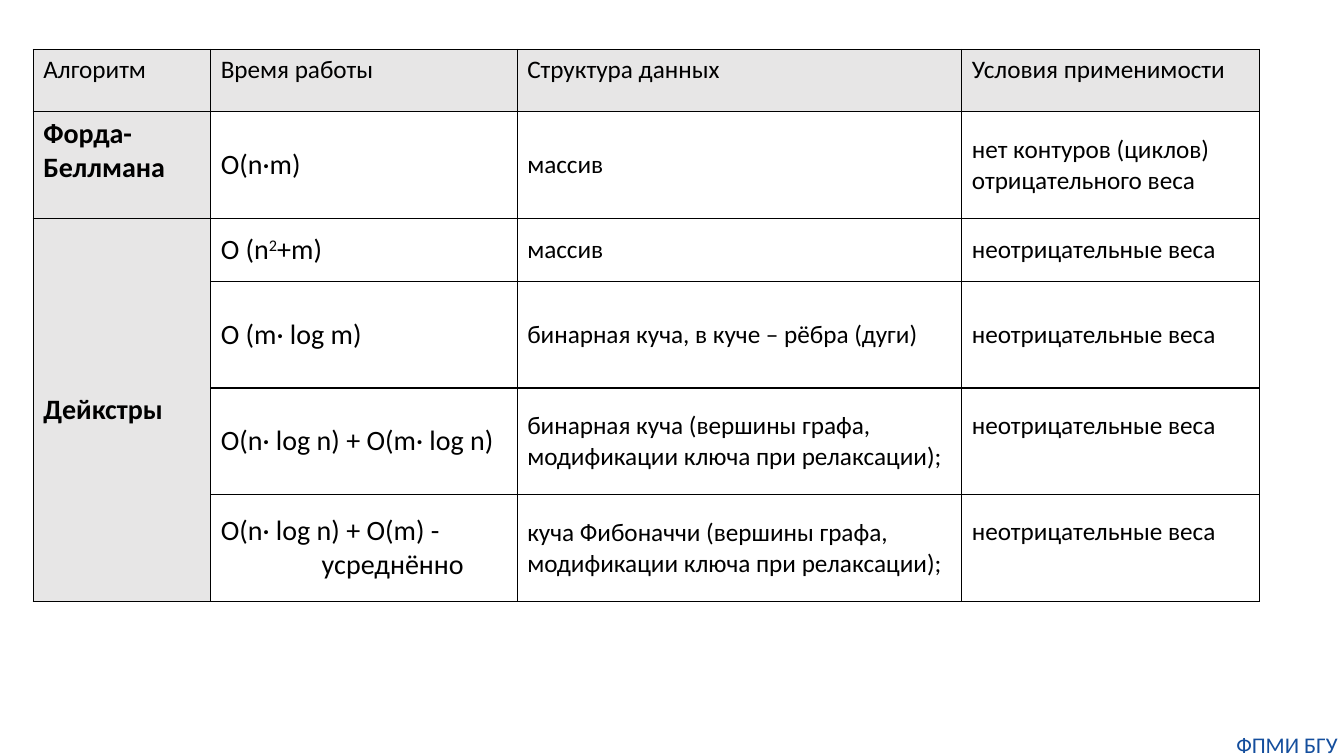
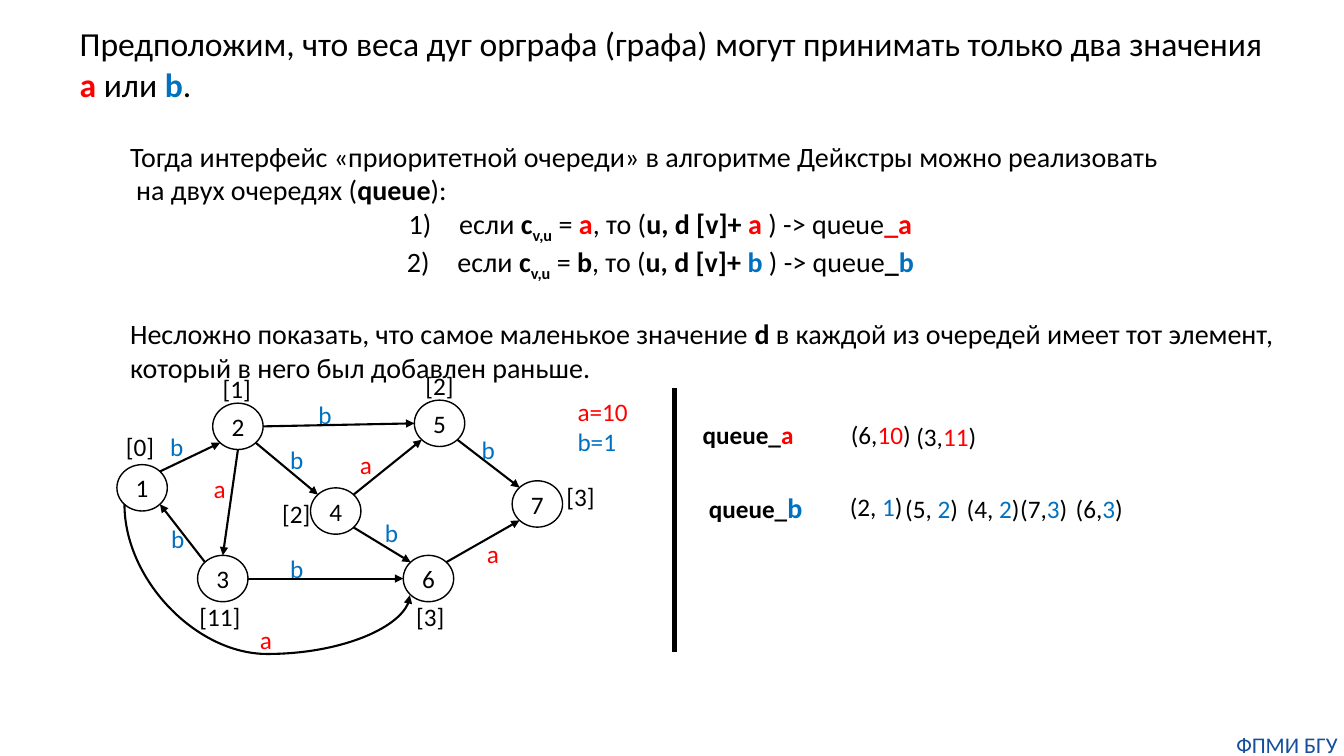
from math import cos, radians, sin

from lxml.etree import SubElement
from pptx import Presentation
from pptx.dml.color import RGBColor
from pptx.enum.shapes import MSO_CONNECTOR, MSO_SHAPE
from pptx.enum.text import MSO_ANCHOR, MSO_AUTO_SIZE, PP_ALIGN
from pptx.oxml.ns import qn
from pptx.util import Pt

SCALE = 9144
COLORS = {"ink": "000000", "red": "FF0000", "blue": "0070C0",
          "foot": "144E9D", "grey": "E7E6E6"}
BASE = {"name": "Calibri", "size": Pt(18), "bold": False, "color": "ink"}
BOLD = {"bold": True}
RED = {"color": "red"}
BLUE = {"color": "blue"}
BOLD_RED = {**BOLD, **RED}
BOLD_BLUE = {**BOLD, **BLUE}
SUB = {**BOLD, "base": -25000}
SUPER = {"base": 30000}
NODE_W, NODE_H = 50, 46


def px(num):
    return round(num * SCALE)


def tint(name):
    return RGBColor.from_string(COLORS[name])


def add_runs(par, runs, base):
    """Add runs, each a string or a (string, format) pair."""
    for item in runs:
        text, form = (item, {}) if isinstance(item, str) else item
        run = par.add_run()
        run.text = text
        look = {**BASE, **base, **form}
        run.font.color.rgb = tint(look.pop("color"))
        shift = look.pop("base", 0)
        if shift:
            run._r.get_or_add_rPr().set("baseline", str(shift))
        for key, value in look.items():
            setattr(run.font, key, value)


def write(frame, pars, **base):
    """Fill a text frame with (runs, layout) pairs."""
    for num, (runs, form) in enumerate(pars):
        par = frame.add_paragraph() if num else frame.paragraphs[0]
        look = {"alignment": PP_ALIGN.LEFT, "space_before": Pt(0), **form}
        left, hang = look.pop("left", 0), look.pop("hang", 0)
        count = look.pop("count", None)
        for key, value in look.items():
            setattr(par, key, value)
        props = par._p.get_or_add_pPr()
        props.set("marL", str(px(left)))
        props.set("indent", str(px(hang)))
        if count:
            SubElement(props, qn("a:buAutoNum"), type=count)
        else:
            SubElement(props, qn("a:buNone"))
        add_runs(par, runs, base)


def add_note(slide, box, pars, wrap=False, pad=None, **base):
    frame = slide.shapes.add_textbox(*map(px, box)).text_frame
    frame.word_wrap = wrap
    frame.auto_size = MSO_AUTO_SIZE.SHAPE_TO_FIT_TEXT
    if pad is not None:
        for side in ("left", "right", "top", "bottom"):
            setattr(frame, f"margin_{side}", px(pad))
    write(frame, pars, **base)


def add_foot(slide):
    add_note(slide, (1220, 725, 113, 27),
             [(["ФПМИ БГУ"], {"alignment": PP_ALIGN.CENTER})],
             wrap=True, pad=0, size=Pt(16), color="foot")


def fill_holder(holder, box, pars, **base):
    for key, value in zip(("left", "top", "width", "height"), box):
        setattr(holder, key, px(value))
    frame = holder.text_frame
    frame.word_wrap = True
    frame.auto_size = MSO_AUTO_SIZE.NONE
    frame.vertical_anchor = MSO_ANCHOR.TOP
    write(frame, pars, **base)


def add_line(slide, ends, width, kind=MSO_CONNECTOR.STRAIGHT, arrow=True):
    line = slide.shapes.add_connector(kind, *map(px, ends))
    line.line.color.rgb = tint("ink")
    line.line.width = Pt(width)
    if arrow:
        SubElement(line.line._get_or_add_ln(), qn("a:tailEnd"), type="triangle")
    SubElement(line._element.spPr, qn("a:effectLst"))
    return line


def add_node(slide, num, x, y):
    node = slide.shapes.add_shape(
        MSO_SHAPE.OVAL, *map(px, (x, y, NODE_W, NODE_H)))
    node.shadow.inherit = False
    node.fill.background()
    node.line.color.rgb = tint("ink")
    node.line.width = Pt(1)
    frame = node.text_frame
    frame.vertical_anchor = MSO_ANCHOR.MIDDLE
    frame.word_wrap = False
    write(frame, [([str(num)], {"alignment": PP_ALIGN.CENTER})])
    return node


def site_at(spot, site):
    """Place of an oval's glue site, counted anticlockwise from the top."""
    turn = radians(90 + 45 * site)
    return (spot[0] + NODE_W / 2 * (1 + cos(turn)),
            spot[1] + NODE_H / 2 * (1 - sin(turn)))


def glue(line, *ends):
    """Tie a line's start and end to (node, site) pairs."""
    props = line._element.nvCxnSpPr.cNvCxnSpPr
    for tag, (node, site) in zip(("a:stCxn", "a:endCxn"), ends):
        SubElement(props, qn(tag), id=str(node.shape_id), idx=str(site))


def add_graph(slide):
    spots = {1: (116, 461), 3: (196, 551), 2: (211, 400), 4: (308, 484),
             7: (508, 477), 6: (400, 551), 5: (411, 397)}
    nodes = {num: add_node(slide, num, *spot) for num, spot in spots.items()}
    edges = [(1, 7, 2, 3), (2, 4, 3, 0), (3, 1, 1, 5), (3, 6, 6, 2),
             (2, 6, 5, 2), (2, 5, 4, 1), (4, 7, 5, 3), (5, 5, 7, 1),
             (6, 7, 7, 3), (4, 5, 6, 1)]
    for start, out, end, into in edges:
        ends = site_at(spots[start], out) + site_at(spots[end], into)
        glue(add_line(slide, ends, 1.5), (nodes[start], out), (nodes[end], into))

    curve = add_line(slide, (220, 404, 310, 687), 1.5, MSO_CONNECTOR.CURVE)
    form = curve._element.spPr.find(qn("a:xfrm"))
    form.set("rot", str(270 * 60000))
    form.set("flipH", "1")
    bend = curve._element.spPr.find(qn("a:prstGeom")).find(qn("a:avLst"))
    SubElement(bend, qn("a:gd"), name="adj1", fmla="val 164800")
    glue(curve, (nodes[1], 3), (nodes[6], 3))

    marks = [
        ("a", "red", 32, [(202, 465), (347, 441), (473, 529), (248, 614)]),
        ("b", "blue", 34, [(160, 514), (278, 544), (278, 436), (306, 391),
                           (468, 426), (372, 508), (159, 423)]),
        ("[0]", "ink", 48, [(115, 423)]),
        ("[1]", "ink", 48, [(211, 365)]),
        ("[2]", "ink", 48, [(412, 362), (270, 489)]),
        ("[3]", "ink", 48, [(552, 473), (403, 592)]),
        ("[11]", "ink", 61, [(188, 592)]),
    ]
    for text, color, width, places in marks:
        for x, y in places:
            add_note(slide, (x, y, width, 40), [([text], {})], color=color)
    add_note(slide, (563, 388, 76, 71),
             [([("а=10", RED)], {}), ([("b=1", BLUE)], {})])


def add_queues(slide):
    mid = {"alignment": PP_ALIGN.CENTER}
    add_note(slide, (687, 411, 110, 40), [(["queue_", ("a", RED)], mid)],
             bold=True)
    add_note(slide, (693, 482, 113, 44),
             [(["queue_", ("b", {**BLUE, "size": Pt(20)})], mid)], bold=True)
    items = [(834, 411, 80, "(6,", "10", RED), (899, 413, 80, "(3,", "11", RED),
             (833, 483, 73, "(2, ", "1", BLUE), (888, 484, 73, "(5, ", "2", BLUE),
             (949, 484, 73, "(4, ", "2", BLUE), (1002, 484, 68, "(7,", "3", BLUE),
             (1057, 484, 68, "(6,", "3", BLUE)]
    for x, y, width, head, dist, form in items:
        add_note(slide, (x, y, width, 40), [([head, (dist, form), ")"], {})])
    add_line(slide, (669, 385, 669, 647), 3, arrow=False)


def style_cell(cell, fill):
    props = cell._tc.get_or_add_tcPr()
    for side in ("L", "R", "T", "B"):
        edge = SubElement(props, qn(f"a:ln{side}"), w=str(Pt(1)))
        paint = SubElement(edge, qn("a:solidFill"))
        SubElement(paint, qn("a:srgbClr"), val=COLORS["ink"])
    if fill:
        cell.fill.solid()
        cell.fill.fore_color.rgb = tint("grey")
    else:
        cell.fill.background()


def add_grid(slide):
    heap = "модификации ключа при релаксации);"
    safe = "неотрицательные веса"
    rows = [
        ["Алгоритм", "Время работы", "Структура данных", "Условия применимости"],
        ["Форда-Беллмана", "O(n·m)", "массив",
         "нет контуров (циклов) отрицательного веса"],
        ["Дейкстры", ["O (n", ("2", SUPER), "+m)"], "массив", safe],
        ["", "O (m· log m)", "бинарная куча, в куче – рёбра (дуги)", safe],
        ["", "О(n· log n) + О(m· log n)", f"бинарная куча (вершины графа, {heap}",
         safe],
        ["", "О(n· log n) + О(m) -", f"куча Фибоначчи (вершины графа, {heap}",
         safe],
    ]
    widths = [176, 304, 441, 295]
    heights = [62, 106, 62, 106, 106, 106]
    box = (33, 49, sum(widths), sum(heights))
    table = slide.shapes.add_table(6, 4, *map(px, box)).table
    table.first_row = table.horz_banding = False
    for col, width in zip(table.columns, widths):
        col.width = px(width)
    for row, height in zip(table.rows, heights):
        row.height = px(height)
    for r, row in enumerate(rows):
        for c, text in enumerate(row):
            cell = table.cell(r, c)
            style_cell(cell, r == 0 or c == 0)
            if not text:
                continue
            pars = [([text] if isinstance(text, str) else text, {})]
            if (r, c) == (5, 1):
                pars.append((["усреднённо"], {"left": 100}))
            large = r > 0 and c < 2
            write(cell.text_frame, pars, size=Pt(20 if large else 18),
                  bold=large and c == 0)
            high = r == 0 or (r, c) == (1, 0)
            raised = r > 3 and c == 3
            cell.vertical_anchor = (
                MSO_ANCHOR.TOP if high or raised else MSO_ANCHOR.MIDDLE)
            if raised:
                cell.margin_top = px(22)
    table.cell(2, 0).merge(table.cell(5, 0))


def add_text(slide):
    title, body = slide.placeholders
    inset = {"left": 50}
    fill_holder(title, (19, 18, 1272, 92), [
        (["Предположим, что веса дуг орграфа (графа) могут принимать "
          "только два значения"], inset),
        ([("a ", BOLD_RED), "или ", ("b", BOLD_BLUE), "."], inset),
    ], size=Pt(24))
    item = {"alignment": PP_ALIGN.CENTER, "left": 50, "hang": -50,
            "count": "arabicParenR"}
    cost = ["если ", ("c", BOLD), ("v,u", SUB), " = "]
    push = [", то (", ("u, d [v]+ ", BOLD)]
    fill_holder(body, (19, 133, 1272, 245), [
        (["Тогда интерфейс «приоритетной очереди» в алгоритме Дейкстры "
          "можно реализовать"], {"left": 100}),
        (["на двух очередях (", ("queue", BOLD), "):"], {"left": 106}),
        ([*cost, ("a", BOLD_RED), *push, ("a ", BOLD_RED), ") -> queue",
          ("_a", BOLD_RED)], item),
        ([*cost, ("b", BOLD), *push, ("b ", BOLD_BLUE), ") -> queue",
          ("_", BOLD), ("b", BOLD_BLUE)], item),
        (["Несложно показать, что самое маленькое значение ", ("d", BOLD),
          " в каждой из очередей имеет тот элемент, который в него был "
          "добавлен раньше."], {"left": 100, "space_before": Pt(24)}),
    ], size=Pt(20))


def main():
    deck = Presentation()
    deck.slide_width, deck.slide_height = px(1333), px(750)
    plans = [(6, [add_grid]), (1, [add_text, add_graph, add_queues])]
    for layout, parts in plans:
        slide = deck.slides.add_slide(deck.slide_layouts[layout])
        for draw in parts:
            draw(slide)
        add_foot(slide)
    deck.save("out.pptx")


if __name__ == "__main__":
    main()
